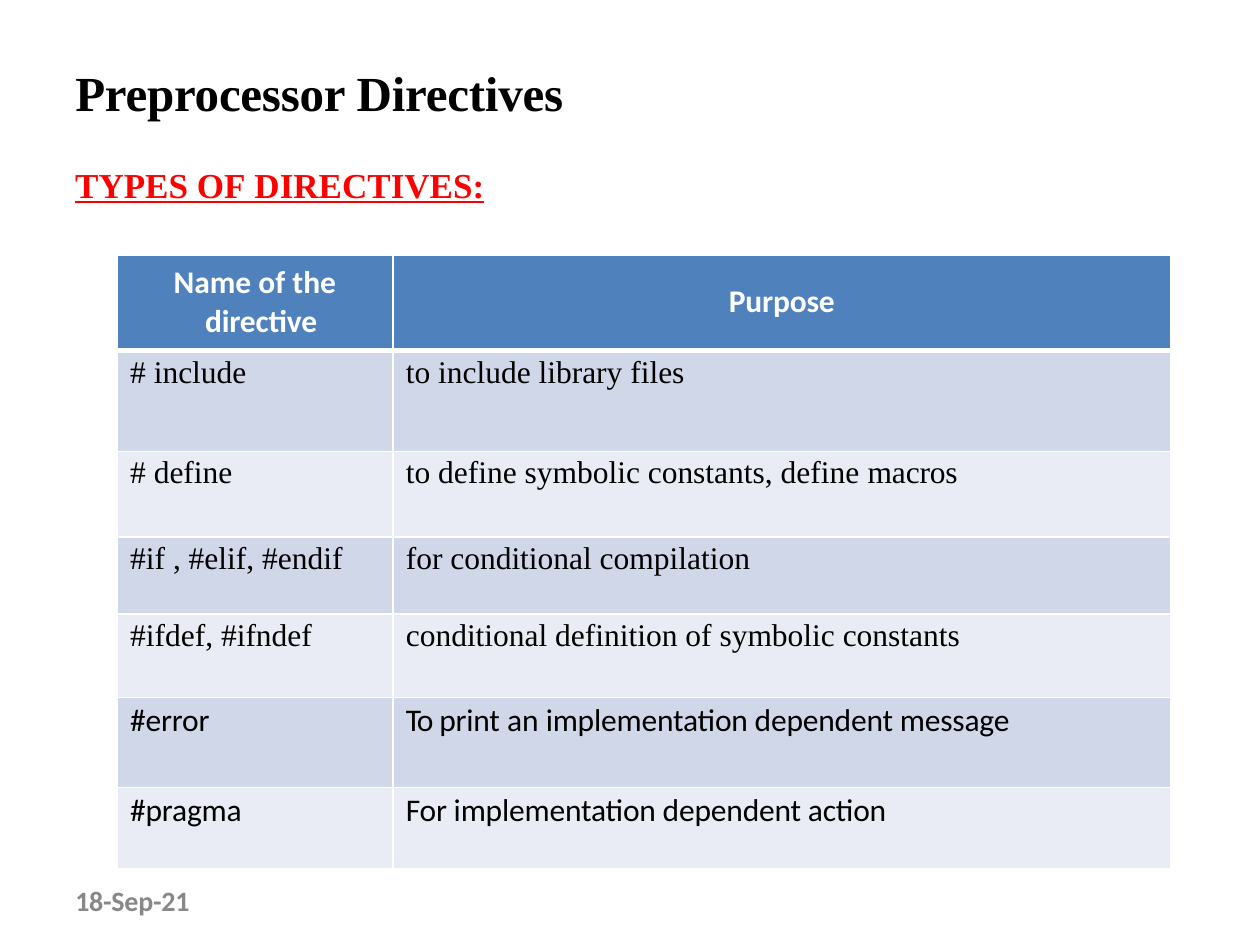
from lxml import etree
from pptx import Presentation
from pptx.dml.color import RGBColor
from pptx.enum.text import PP_ALIGN
from pptx.oxml.ns import qn
from pptx.util import Pt

CENTER = PP_ALIGN.CENTER
SERIF, SANS = "Times New Roman", "Calibri"
WHITE, BLACK, RED, GRAY = "FFFFFF", "000000", "FF0000", "888888"
HEADER_FILL, BAND_FILLS = "4F81BC", ("D0D7E8", "E9ECF4")

COLUMN_WIDTHS = (157.5, 444.2)
ROW_HEIGHTS = (54.5, 57.6, 49.1, 44, 47.6, 51.3, 46.6)
HEADER = ([("Name of the ", 0), ("directive", -0.1)], [("Purpose", -0.1)])
# Each row: font, top margin, then the spans (text, letter spacing) of both cells
DIRECTIVES = (
    (SERIF, 2.6, [("# include", 0)], [("to include library files", 0)]),
    (SERIF, 2.6, [("# define", 0)],
     [("to define symbolic constants, define ", 0), ("macros", -0.1)]),
    (SERIF, 2.6, [("#if , #elif, #endif", 0)], [("for conditional compilation", 0)]),
    (SERIF, 2.6, [("#ifdef, #ifndef", 0)],
     [("conditional definition of symbolic constants", 0)]),
    (SANS, 2.5, [("#error", -0.1)],
     [("To ", -0.8), ("print ", -0.1), ("an ", 0),
      ("implementation dependent message", -0.1)]),
    (SANS, 2.5, [("#pragma", -0.1)], [("For implementation dependent action", -0.1)]),
)


def color(hex_string):
    return RGBColor.from_string(hex_string)


def write_spans(para, spans, font, size, ink, bold=False, underline=False):
    """Fill a paragraph with (text, letter spacing in points) pairs."""
    for text, spacing in spans:
        span = para.add_run()
        span.text = text
        span.font.name = font
        span.font.size = Pt(size)
        span.font.bold = bold
        span.font.underline = underline
        span.font.color.rgb = color(ink)
        if spacing:
            span.font._element.set("spc", str(round(spacing * 100)))


def add_text(page, left, top, width, height, spans, **style):
    box = page.shapes.add_textbox(Pt(left), Pt(top), Pt(width), Pt(height))
    frame = box.text_frame
    frame.word_wrap = True
    frame.margin_left = frame.margin_right = frame.margin_bottom = 0
    frame.margin_top = Pt(1)
    write_spans(frame.paragraphs[0], spans, **style)
    return frame.paragraphs[0]


def set_borders(cell, widths):
    """Draw white borders; widths gives points for left, right, top, bottom."""
    properties = cell._tc.get_or_add_tcPr()
    for position, (side, width) in enumerate(zip("LRTB", widths)):
        line = etree.Element(qn(f"a:ln{side}"), w=str(Pt(width)))
        fill = etree.SubElement(line, qn("a:solidFill"))
        etree.SubElement(fill, qn("a:srgbClr"), val=WHITE)
        properties.insert(position, line)


def fill_cell(cell, spans, fill, borders, left=0, top=0, **style):
    cell.fill.solid()
    cell.fill.fore_color.rgb = color(fill)
    cell.margin_left, cell.margin_top = Pt(left), Pt(top)
    cell.margin_right = cell.margin_bottom = 0
    write_spans(cell.text_frame.paragraphs[0], spans, size=18, **style)
    set_borders(cell, borders)
    return cell.text_frame.paragraphs[0]


def add_directive_table(page, left, top):
    table = page.shapes.add_table(
        len(ROW_HEIGHTS), len(COLUMN_WIDTHS), Pt(left), Pt(top),
        Pt(sum(COLUMN_WIDTHS)), Pt(sum(ROW_HEIGHTS))).table
    for column, width in zip(table.columns, COLUMN_WIDTHS):
        column.width = Pt(width)
    for row, height in zip(table.rows, ROW_HEIGHTS):
        row.height = Pt(height)

    name, purpose = (
        fill_cell(table.cell(0, column), spans, HEADER_FILL, (1, 1, 1, 3),
                  top=margin, font=SANS, ink=WHITE, bold=True)
        for column, (spans, margin) in enumerate(zip(HEADER, (5, 15.8))))
    hanging = name._p.get_or_add_pPr()
    hanging.set("marL", str(Pt(50)))
    hanging.set("indent", str(Pt(-18)))
    purpose.alignment = CENTER

    for row, (font, margin, *cells) in enumerate(DIRECTIVES, start=1):
        borders = (1, 1, 3 if row == 1 else 1, 1)
        for column, spans in enumerate(cells):
            fill_cell(table.cell(row, column), spans, BAND_FILLS[(row - 1) % 2],
                      borders, left=7.2, top=margin, font=font, ink=BLACK)


def build_directives_page(page):
    margin = 43
    add_text(page, margin, 34.6, 320, 35, [("Preprocessor Directives", -0.1)],
             font=SERIF, size=28, ink=BLACK, bold=True)
    add_text(page, margin, 92.2, 260, 26,
             [("TYPES OF", 0), (" ", -1.3), ("DIRECTIVES:", 0)],
             font=SERIF, size=20, ink=RED, bold=True, underline=True)
    add_directive_table(page, 67.2, 145.8)
    date = add_text(page, margin, 506.6, 90, 17, [("18-Sep-21", -0.1)],
                    font=SANS, size=16, ink=GRAY, bold=True)
    date.line_spacing = Pt(16.2)


def main():
    deck = Presentation()
    deck.slide_width, deck.slide_height = Pt(720), Pt(540)
    build_directives_page(deck.slides.add_slide(deck.slide_layouts[6]))
    deck.save("out.pptx")


if __name__ == "__main__":
    main()
